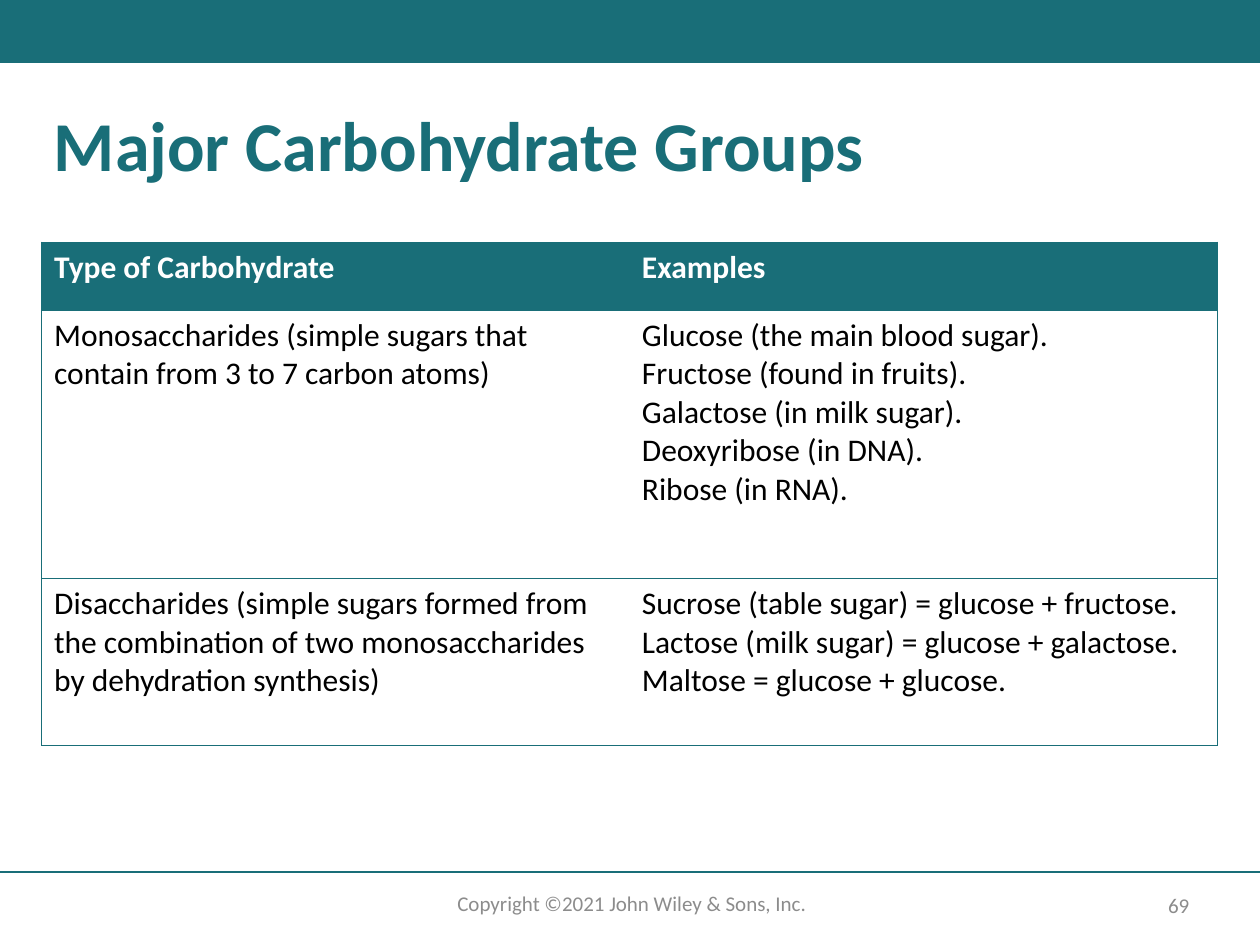
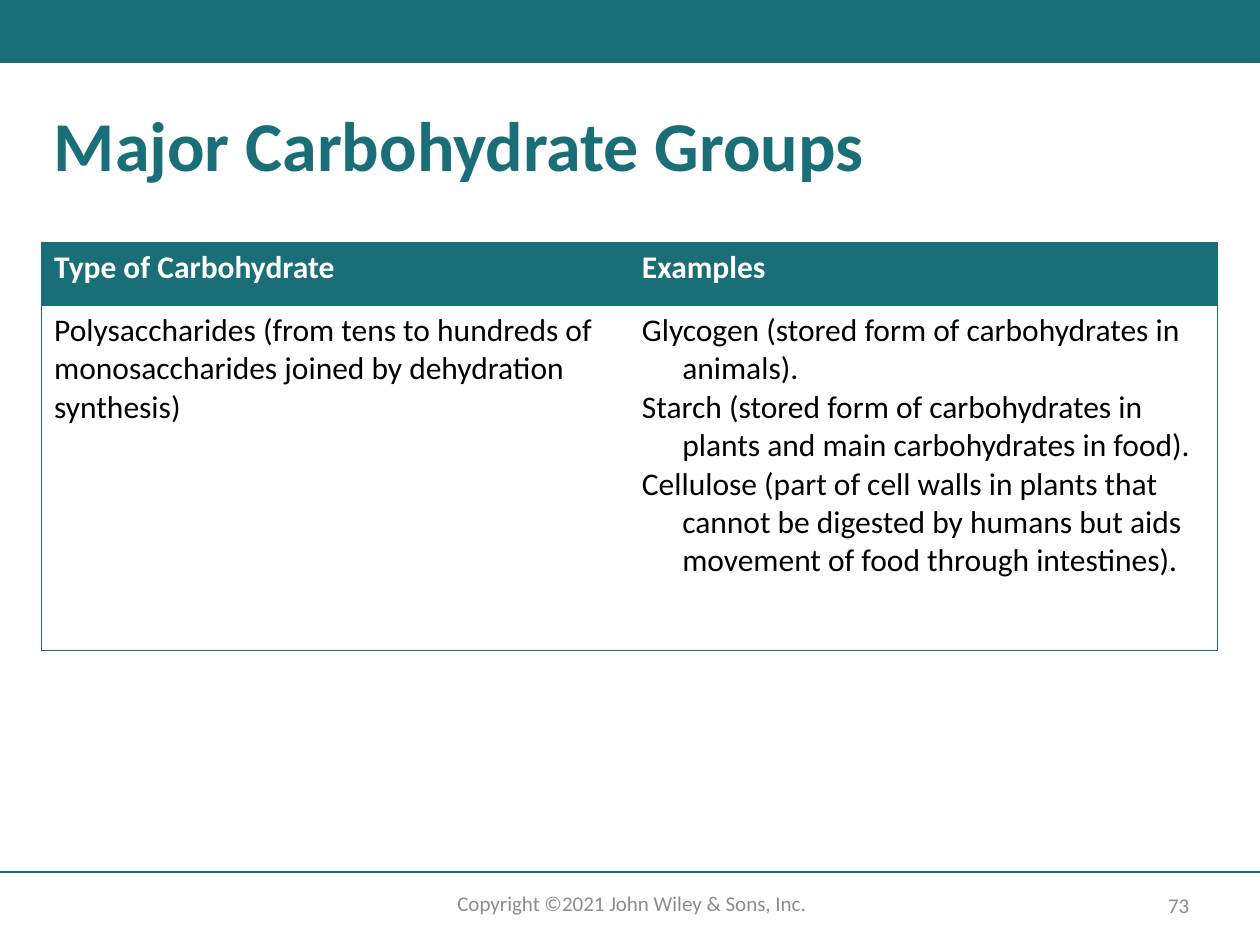
from dataclasses import dataclass

from lxml.etree import SubElement
from pptx import Presentation
from pptx.dml.color import RGBColor
from pptx.enum.shapes import MSO_CONNECTOR, MSO_SHAPE
from pptx.enum.text import MSO_ANCHOR, PP_ALIGN
from pptx.oxml import parse_xml
from pptx.oxml.ns import nsdecls, qn
from pptx.util import Inches, Pt

TITLE = "Major Carbohydrate Groups"
COPYRIGHT = "Copyright ©2021 John Wiley & Sons, Inc."
HEADER = (["Type of Carbohydrate"], ["Examples"])

PAGES = [
    {
        "number": "69",
        "row_heights": [0.54, 2.13, 1.33],
        "hanging": 0,
        "groups": [
            (
                ["Monosaccharides (simple sugars that contain from 3 to 7 carbon atoms)"],
                [
                    "Glucose (the main blood sugar).",
                    "Fructose (found in fruits).",
                    "Galactose (in milk sugar).",
                    "Deoxyribose (in DNA).",
                    "Ribose (in RNA).",
                ],
            ),
            (
                ["Disaccharides (simple sugars formed from the combination of two "
                 "monosaccharides by dehydration synthesis)"],
                [
                    "Sucrose (table sugar) = glucose + fructose.",
                    "Lactose (milk sugar) = glucose + galactose.",
                    "Maltose = glucose + glucose.",
                ],
            ),
        ],
    },
    {
        "number": "73",
        "row_heights": [0.5, 2.74],
        "hanging": 0.32,
        "groups": [
            (
                ["Polysaccharides (from tens to hundreds of monosaccharides joined by "
                 "dehydration synthesis)"],
                [
                    "Glycogen (stored form of carbohydrates in animals).",
                    "Starch (stored form of carbohydrates in plants and main "
                    "carbohydrates in food).",
                    "Cellulose (part of cell walls in plants that cannot be digested by "
                    "humans but aids movement of food through intestines).",
                ],
            ),
        ],
    },
]


@dataclass(frozen=True)
class Theme:
    teal: str = "196E78"
    white: str = "FFFFFF"
    black: str = "000000"
    grey: str = "8C8C8C"
    font: str = "Calibri"
    title_size: int = 40
    table_size: int = 18
    footer_size: int = 12
    border_width: float = 0.5
    rule_width: float = 1


THEME = Theme()
PAGE_WIDTH, PAGE_HEIGHT = 10, 7.5
MARGIN = 0.33
CONTENT_WIDTH = 9.33
TABLE_TOP = 1.92
RULE_TOP = 6.92
NO_TABLE_STYLE = "{2D5ABB26-0587-4C30-8999-92F81FD0307C}"


def write_text(frame, lines, *, size, color, bold=False, align=PP_ALIGN.LEFT,
               spacing=None, hanging=0):
    frame.word_wrap = True
    for index, line in enumerate(lines):
        para = frame.add_paragraph() if index else frame.paragraphs[0]
        para.alignment = align
        if spacing:
            para.line_spacing = spacing
        if hanging:
            properties = para._p.get_or_add_pPr()
            properties.set("marL", str(Inches(hanging)))
            properties.set("indent", str(-Inches(hanging)))
        span = para.add_run()
        span.text = line
        span.font.name = THEME.font
        span.font.size = Pt(size)
        span.font.bold = bold
        span.font.color.rgb = RGBColor.from_string(color)


def add_text(page, text, left, top, width, height, anchor=MSO_ANCHOR.TOP, **style):
    box = page.shapes.add_textbox(Inches(left), Inches(top), Inches(width), Inches(height))
    box.text_frame.vertical_anchor = anchor
    write_text(box.text_frame, [text], **style)


def add_frame(page, number):
    band = page.shapes.add_shape(MSO_SHAPE.RECTANGLE, 0, 0, Inches(PAGE_WIDTH), Inches(0.5))
    band.shadow.inherit = False
    band.fill.solid()
    band.fill.fore_color.rgb = RGBColor.from_string(THEME.teal)
    band.line.fill.background()

    rule = page.shapes.add_connector(
        MSO_CONNECTOR.STRAIGHT, 0, Inches(RULE_TOP), Inches(PAGE_WIDTH), Inches(RULE_TOP))
    rule.line.color.rgb = RGBColor.from_string(THEME.teal)
    rule.line.width = Pt(THEME.rule_width)
    SubElement(rule._element.spPr, qn("a:effectLst"))

    footer = {"size": THEME.footer_size, "color": THEME.grey, "align": PP_ALIGN.CENTER}
    add_text(page, COPYRIGHT, 3.22, 7.02, 3.59, 0.3, **footer)
    add_text(page, number, 9.05, 7.04, 0.61, 0.28, anchor=MSO_ANCHOR.MIDDLE, **footer)
    add_text(page, TITLE, MARGIN, 0.83, CONTENT_WIDTH, 0.92, size=THEME.title_size,
             color=THEME.teal, bold=True, spacing=0.9)


def set_borders(cell, sides):
    properties = cell._tc.get_or_add_tcPr()
    for index, side in enumerate(sides):
        properties.insert(index, parse_xml(
            f'<a:ln{side} {nsdecls("a")} w="{Pt(THEME.border_width)}"><a:solidFill>'
            f'<a:srgbClr val="{THEME.teal}"/></a:solidFill></a:ln{side}>'))


def add_groups_table(page, groups, row_heights, hanging):
    rows = [HEADER, *groups]
    columns = len(HEADER)
    graphic = page.shapes.add_table(
        len(rows), columns, Inches(MARGIN), Inches(TABLE_TOP),
        Inches(CONTENT_WIDTH), Inches(sum(row_heights)))
    table = graphic.table
    table._tbl.tblPr.find(qn("a:tableStyleId")).text = NO_TABLE_STYLE
    for column in table.columns:
        column.width = Inches(CONTENT_WIDTH / columns)
    for row_index, (row, height) in enumerate(zip(rows, row_heights)):
        table.rows[row_index].height = Inches(height)
        is_header = row_index == 0
        for column_index, lines in enumerate(row):
            cell = table.cell(row_index, column_index)
            if is_header:
                cell.fill.solid()
                cell.fill.fore_color.rgb = RGBColor.from_string(THEME.teal)
            else:
                cell.fill.background()
            set_borders(cell, ("R" if column_index else "L") + "TB")
            write_text(cell.text_frame, lines, size=THEME.table_size,
                       color=THEME.white if is_header else THEME.black, bold=is_header,
                       hanging=hanging if column_index and not is_header else 0)


def main():
    deck = Presentation()
    deck.slide_width = Inches(PAGE_WIDTH)
    deck.slide_height = Inches(PAGE_HEIGHT)
    for content in PAGES:
        page = deck.slides.add_slide(deck.slide_layouts[6])
        add_frame(page, content["number"])
        add_groups_table(page, content["groups"], content["row_heights"], content["hanging"])
    deck.save("out.pptx")


if __name__ == "__main__":
    main()
